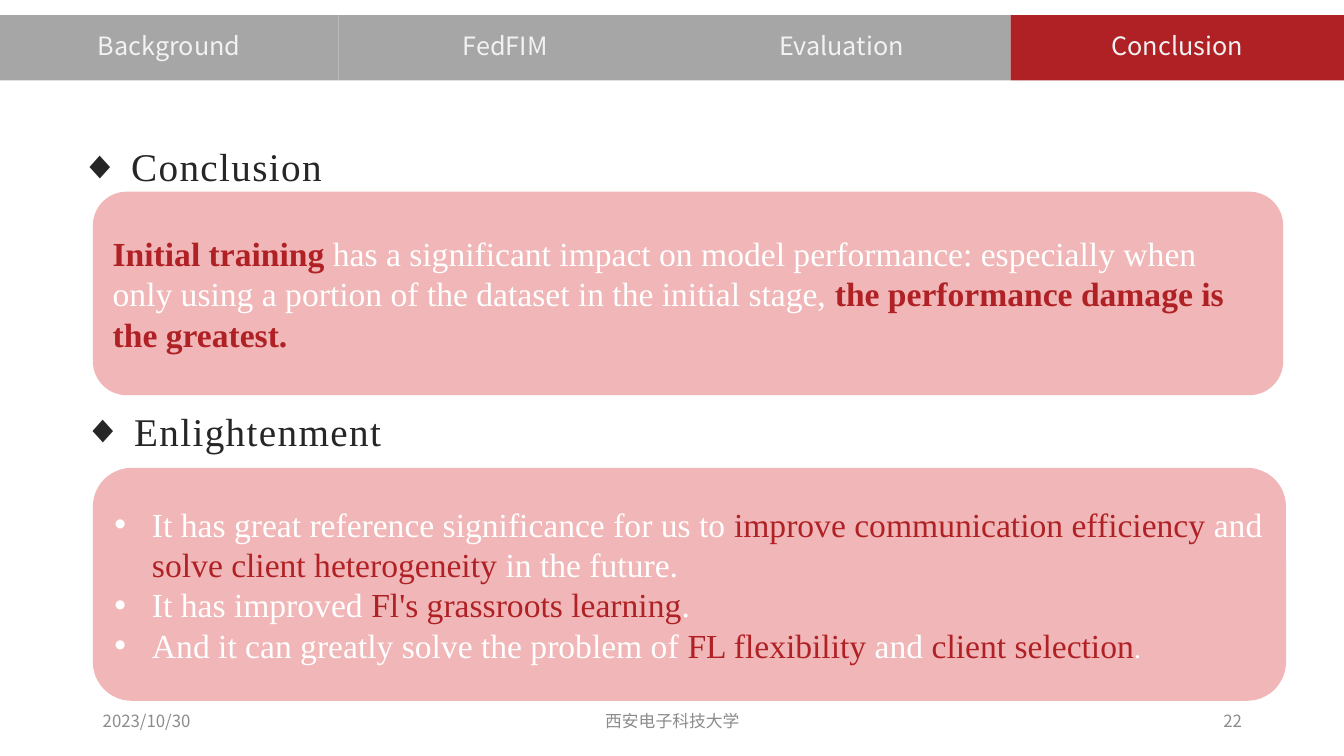
from dataclasses import dataclass

from lxml import etree
from pptx import Presentation
from pptx.dml.color import RGBColor
from pptx.enum.shapes import MSO_SHAPE
from pptx.enum.text import MSO_ANCHOR, MSO_AUTO_SIZE, PP_ALIGN
from pptx.oxml.ns import qn
from pptx.util import Cm, Pt

RECTANGLE = MSO_SHAPE.RECTANGLE
ROUNDED = MSO_SHAPE.ROUNDED_RECTANGLE
MIDDLE = MSO_ANCHOR.MIDDLE
NO_AUTOFIT = MSO_AUTO_SIZE.NONE
LEFT, CENTER, RIGHT = PP_ALIGN.LEFT, PP_ALIGN.CENTER, PP_ALIGN.RIGHT


@dataclass(frozen=True)
class Theme:
    sans: str = "Noto Sans CJK SC"
    serif: str = "Times New Roman"
    red: str = "AF2125"
    pink: str = "F1B6B7"
    gray: str = "A6A6A6"
    footer: str = "8C8C8C"
    tab_text: str = "F2F2F2"
    ink: str = "262626"
    white: str = "FFFFFF"
    footer_size: int = 12
    tab_size: int = 18
    stop_size: int = 20
    body_size: int = 24
    heading_size: int = 28


THEME = Theme()

TABS = ["Background", "FedFIM", "Evaluation", "Conclusion"]
ACTIVE_TAB = "Conclusion"
TAB_EDGES = [0, 8.53, 16.94, 25.47, 33.87]
TAB_TOP, TAB_HEIGHT = 0.38, 1.65

TITLE = "Conclusion"
TITLE_PLACE = (1.78, 3.53, 29.21, 1.45)
SUBTITLE = "Enlightenment"
SUBTITLE_PLACE = (1.78, 10.08, 9.68, 1.7)

CONCLUSION = [
    ("Initial training ", "strong"),
    ("has a significant impact on model performance: especially when only using "
     "a portion of the dataset in the initial stage, ", "plain"),
    ("the performance damage is the greatest.", "strong"),
]
CONCLUSION_PLACE = (2.34, 4.83, 30, 5.13)

ENLIGHTENMENT = [
    [("It has great reference significance for us to ", "plain"),
     ("improve communication efficiency ", "accent"),
     ("and ", "plain"),
     ("solve client heterogeneity ", "accent"),
     ("in the future.", "plain")],
    [("It has improved ", "plain"),
     ("Fl's grassroots learning", "accent"),
     (".", "plain")],
    [("And it can greatly solve the problem of ", "plain"),
     ("FL flexibility", "accent"),
     (" and ", "plain"),
     ("client selection", "accent"),
     (".", "stop")],
]
ENLIGHTENMENT_PLACE = (2.34, 11.79, 30.07, 5.87)
LIST_INSET = 0.54

FOOTERS = [
    ("2023/10/30", 2.34, 7.62, LEFT),
    ("西安电子科技大学", 11.23, 11.43, CENTER),
    ("22", 23.93, 7.62, RIGHT),
]
FOOTER_TOP, FOOTER_HEIGHT = 17.65, 1.02


def place(box, position):
    box.left, box.top, box.width, box.height = map(Cm, position)


def add_box(page, kind, position, fill):
    box = page.shapes.add_shape(kind, *map(Cm, position))
    box.shadow.inherit = False
    box.fill.solid()
    box.fill.fore_color.rgb = RGBColor.from_string(fill)
    box.line.fill.background()
    return box


def prepare(box):
    frame = box.text_frame
    frame.word_wrap = True
    frame.auto_size = NO_AUTOFIT
    frame.vertical_anchor = MIDDLE
    return frame


def add_bullet(para, symbol, indent):
    properties = para._p.get_or_add_pPr()
    properties.set("marL", str(Cm(indent)))
    properties.set("indent", str(-Cm(indent)))
    etree.SubElement(properties, qn("a:buFont")).set("typeface", "Arial")
    etree.SubElement(properties, qn("a:buChar")).set("char", symbol)


def format_para(para, face, size, color, align=LEFT, spacing=1.0):
    para.alignment = align
    para.line_spacing = spacing
    para.space_before = Pt(0)
    font = para.font
    font.name = face
    font.size = Pt(size)
    font.bold = False
    font.color.rgb = RGBColor.from_string(color)
    east_asian = etree.Element(qn("a:ea"), typeface=face)
    font._element.find(qn("a:latin")).addnext(east_asian)


def write_spans(para, spans):
    format_para(para, THEME.serif, THEME.body_size, THEME.white)
    for text, style in spans:
        span = para.add_run()
        span.text = text
        if style in ("strong", "accent"):
            span.font.color.rgb = RGBColor.from_string(THEME.red)
        if style == "strong":
            span.font.bold = True
        if style == "stop":
            span.font.size = Pt(THEME.stop_size)


def write_heading(box, text):
    para = prepare(box).paragraphs[0]
    para.text = text
    add_bullet(para, "◆", 1.27)
    format_para(para, THEME.serif, THEME.heading_size, THEME.ink, spacing=0.9)
    para.runs[0]._r.get_or_add_rPr().set("spc", "100")


def add_footers(page):
    for text, left, width, align in FOOTERS:
        position = (left, FOOTER_TOP, width, FOOTER_HEIGHT)
        box = page.shapes.add_textbox(*map(Cm, position))
        para = prepare(box).paragraphs[0]
        para.text = text
        format_para(para, THEME.sans, THEME.footer_size, THEME.footer, align)


def add_tabs(page):
    for text, left, right in zip(TABS, TAB_EDGES, TAB_EDGES[1:]):
        fill = THEME.red if text == ACTIVE_TAB else THEME.gray
        position = (left, TAB_TOP, right - left, TAB_HEIGHT)
        para = prepare(add_box(page, RECTANGLE, position, fill)).paragraphs[0]
        para.text = text
        format_para(para, THEME.sans, THEME.tab_size, THEME.tab_text, CENTER, 0.9)


def add_enlightenment(page, body):
    add_box(page, ROUNDED, ENLIGHTENMENT_PLACE, THEME.pink)
    place(body, ENLIGHTENMENT_PLACE)
    page.shapes._spTree.append(body._element)
    frame = prepare(body)
    frame.margin_left = frame.margin_right = Cm(LIST_INSET)
    for index, spans in enumerate(ENLIGHTENMENT):
        para = frame.add_paragraph() if index else frame.paragraphs[0]
        add_bullet(para, "•", 0.95)
        write_spans(para, spans)


def main():
    deck = Presentation()
    deck.slide_width, deck.slide_height = Cm(33.87), Cm(19.05)
    page = deck.slides.add_slide(deck.slide_layouts[1])
    title, body = page.placeholders
    add_footers(page)
    add_tabs(page)
    place(title, TITLE_PLACE)
    write_heading(title, TITLE)
    conclusion = add_box(page, ROUNDED, CONCLUSION_PLACE, THEME.pink)
    write_spans(prepare(conclusion).paragraphs[0], CONCLUSION)
    write_heading(add_box(page, ROUNDED, SUBTITLE_PLACE, THEME.white), SUBTITLE)
    add_enlightenment(page, body)
    deck.save("out.pptx")


if __name__ == "__main__":
    main()
